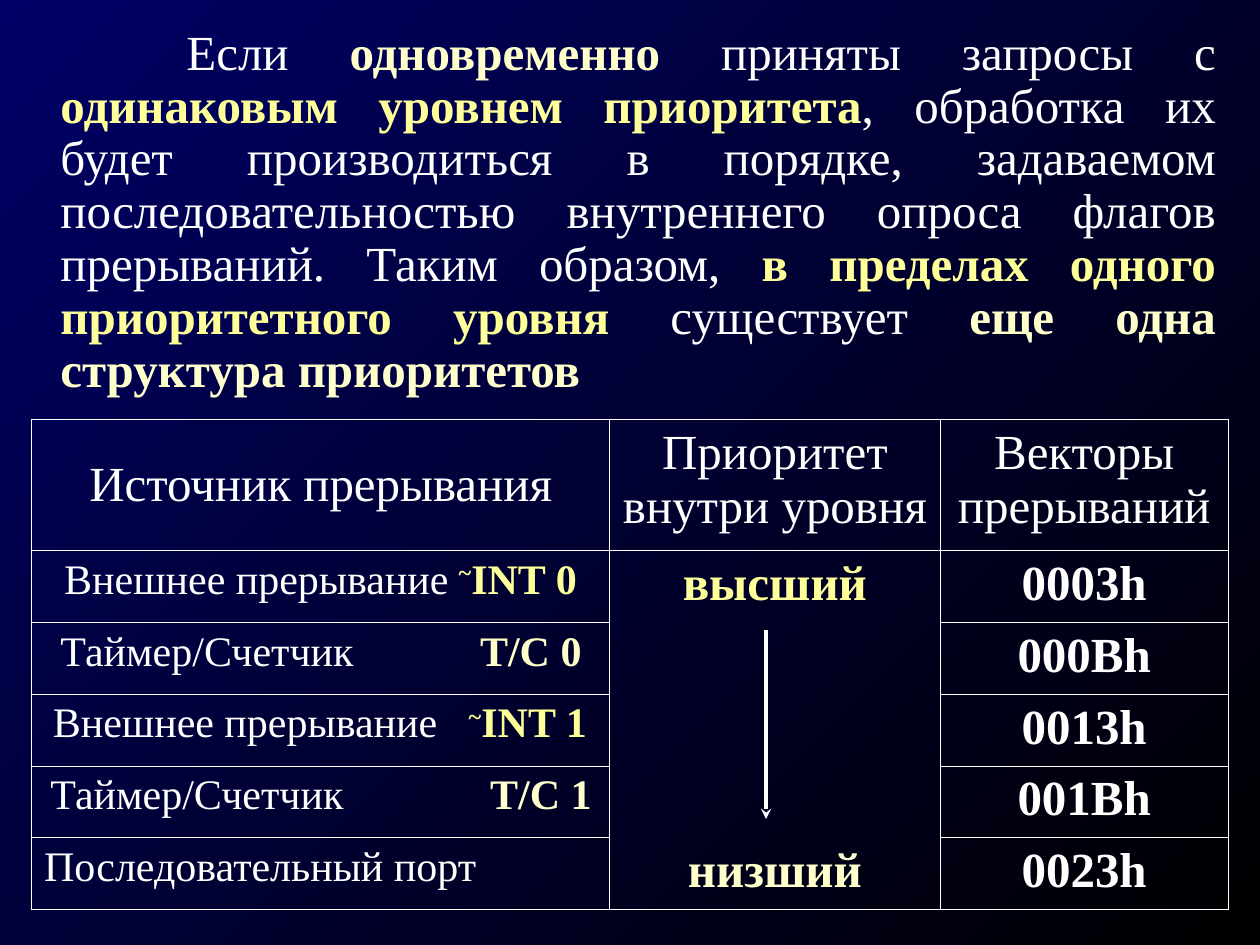
from lxml.etree import SubElement
from pptx import Presentation
from pptx.dml.color import RGBColor
from pptx.enum.shapes import MSO_CONNECTOR
from pptx.enum.text import MSO_ANCHOR, MSO_AUTO_SIZE, PP_ALIGN
from pptx.oxml import parse_xml
from pptx.oxml.ns import nsdecls, qn
from pptx.util import Inches, Pt

THEME = {
    "font": "Times New Roman", "large": 28, "small": 24,
    "white": "FFFFFF", "cream": "FFFFCC", "yellow": "FFFF99",
    "back": ("000066", "000000"), "outer": 1.08, "inner": 0.45,
}

# Content: spans are (text, colour); coloured words are bold
RULE = [
    ("Если ", "white"), ("одновременно", "cream"),
    (" приняты запросы с ", "white"),
    ("одинаковым уровнем приоритета", "yellow"),
    (", обработка их будет производиться в порядке, задаваемом "
     "последовательностью внутреннего опроса флагов прерываний. "
     "Таким образом, ", "white"),
    ("в пределах одного приоритетного уровня", "yellow"),
    (" существует ", "white"),
    ("еще одна структура приоритетов", "cream"),
]
HEADINGS = ["Источник прерывания", "Приоритет внутри уровня",
            "Векторы прерываний"]
# Source, raised mark, code, code colour, left inset, tab stop, vector
INTERRUPTS = [
    ("Внешнее прерывание", "~", "INT 0", "yellow", 0.26, 3.13, "0003h"),
    ("Таймер/Счетчик", "", "Т/С 0", "cream", 0.23, 3.33, "000Bh"),
    ("Внешнее прерывание", "~", "INT 1", "yellow", 0.17, 3.3, "0013h"),
    ("Таймер/Счетчик", "", "Т/С 1", "cream", 0.15, 3.49, "001Bh"),
    ("Последовательный порт", "", "", "white", 0.1, 0, "0023h"),
]
PRIORITIES = {1: ("высший", "yellow"), len(INTERRUPTS): ("низший", "cream")}
COLUMNS = [4.59, 2.62, 2.29]
ROWS = [1.04] + [0.57] * len(INTERRUPTS)


def add_span(para, text, colour="white", size="large", bold=False, raised=False):
    span = para.add_run()
    span.text = text
    values = {"name": THEME["font"], "size": Pt(THEME[size]), "bold": bold}
    for name, value in values.items():
        setattr(span.font, name, value)
    span.font.color.rgb = RGBColor.from_string(THEME[colour])
    if raised:
        span.font._element.set("baseline", "30000")


def add_tab(para, position):
    tabs = SubElement(para._p.get_or_add_pPr(), qn("a:tabLst"))
    SubElement(tabs, qn("a:tab"), pos=str(Inches(position)), algn="l")


def set_borders(cell, widths):
    cell.fill.background()
    for place, (side, width) in enumerate(widths.items()):
        if width:
            paint = f'<a:solidFill><a:srgbClr val="{THEME["white"]}"/></a:solidFill>'
        else:
            paint = "<a:noFill/>"
        line = parse_xml(f'<a:ln{side} {nsdecls("a")} w="{Pt(width)}">{paint}</a:ln{side}>')
        cell._tc.get_or_add_tcPr().insert(place, line)


def add_rule(page):
    box = page.placeholders[1]
    box.left, box.top, box.width, box.height = map(Inches, (0, 0.17, 9.75, 3.17))
    frame = box.text_frame
    values = {"word_wrap": True, "auto_size": MSO_AUTO_SIZE.NONE,
              "vertical_anchor": MSO_ANCHOR.TOP}
    for name, value in values.items():
        setattr(frame, name, value)
    para = frame.paragraphs[0]
    para.alignment, para.line_spacing, para.space_before = PP_ALIGN.JUSTIFY, 0.9, Pt(0)
    layout = para._p.get_or_add_pPr()
    layout.set("marL", str(Inches(0.38)))
    layout.set("indent", str(Inches(1)))
    SubElement(layout, qn("a:buNone"))
    for text, colour in RULE:
        add_span(para, text, colour, bold=colour != "white")


def add_interrupts(page):
    frame = page.shapes.add_table(len(ROWS), len(COLUMNS), Inches(0.25), Inches(3.33),
                                  Inches(sum(COLUMNS)), Inches(sum(ROWS)))
    table = frame.table
    table.first_row = table.horz_banding = False
    for column, width in zip(table.columns, COLUMNS):
        column.width = Inches(width)
    for row, height in zip(table.rows, ROWS):
        row.height = Inches(height)

    # Heavier outer frame; the priority column has no lines between its rows
    last_row, last_column = len(ROWS) - 1, len(COLUMNS) - 1
    outer, inner = THEME["outer"], THEME["inner"]
    for r in range(len(ROWS)):
        for c in range(len(COLUMNS)):
            open_column = c == 1
            set_borders(table.cell(r, c), {
                "L": outer if c == 0 else inner,
                "R": outer if c == last_column else inner,
                "T": outer if r == 0 else 0 if open_column and r > 1 else inner,
                "B": outer if r == last_row else 0 if open_column and r > 0 else inner,
            })

    def centred(r, c, text, colour="white", bold=True):
        para = table.cell(r, c).text_frame.paragraphs[0]
        para.alignment = PP_ALIGN.CENTER
        add_span(para, text, colour, bold=bold)

    for c, heading in enumerate(HEADINGS):
        centred(0, c, heading, bold=False)
    table.cell(0, 0).vertical_anchor = MSO_ANCHOR.MIDDLE
    for r, (source, mark, code, colour, inset, stop, vector) in enumerate(INTERRUPTS, 1):
        cell = table.cell(r, 0)
        cell.margin_left = Inches(inset)
        para = cell.text_frame.paragraphs[0]
        if code:
            add_tab(para, stop)
        add_span(para, source + ("\t" if code else ""), size="small")
        if mark:
            add_span(para, mark, colour, "small", bold=True, raised=True)
        if code:
            add_span(para, code, colour, "small", bold=True)
        centred(r, 2, vector)
    for r, (text, colour) in PRIORITIES.items():
        centred(r, 1, text, colour)


def add_arrow(page):
    arrow = page.shapes.add_connector(MSO_CONNECTOR.STRAIGHT, Inches(6.08), Inches(5),
                                      Inches(6.08), Inches(6.5))
    arrow.line.width = Pt(2)
    arrow.line.color.rgb = RGBColor.from_string(THEME["white"])
    SubElement(arrow.line._get_or_add_ln(), qn("a:tailEnd"), type="stealth")
    SubElement(arrow._element.spPr, qn("a:effectLst"))


def main():
    deck = Presentation()
    deck.slide_width, deck.slide_height = Inches(10), Inches(7.5)
    page = deck.slides.add_slide(deck.slide_layouts[1])
    title = page.shapes.title._element
    title.getparent().remove(title)
    fill = page.background.fill
    fill.gradient()
    fill.gradient_angle = 315
    for stop, colour in zip(fill.gradient_stops, THEME["back"]):
        stop.color.rgb = RGBColor.from_string(colour)
    add_rule(page)
    add_interrupts(page)
    add_arrow(page)
    deck.save("out.pptx")


if __name__ == "__main__":
    main()
